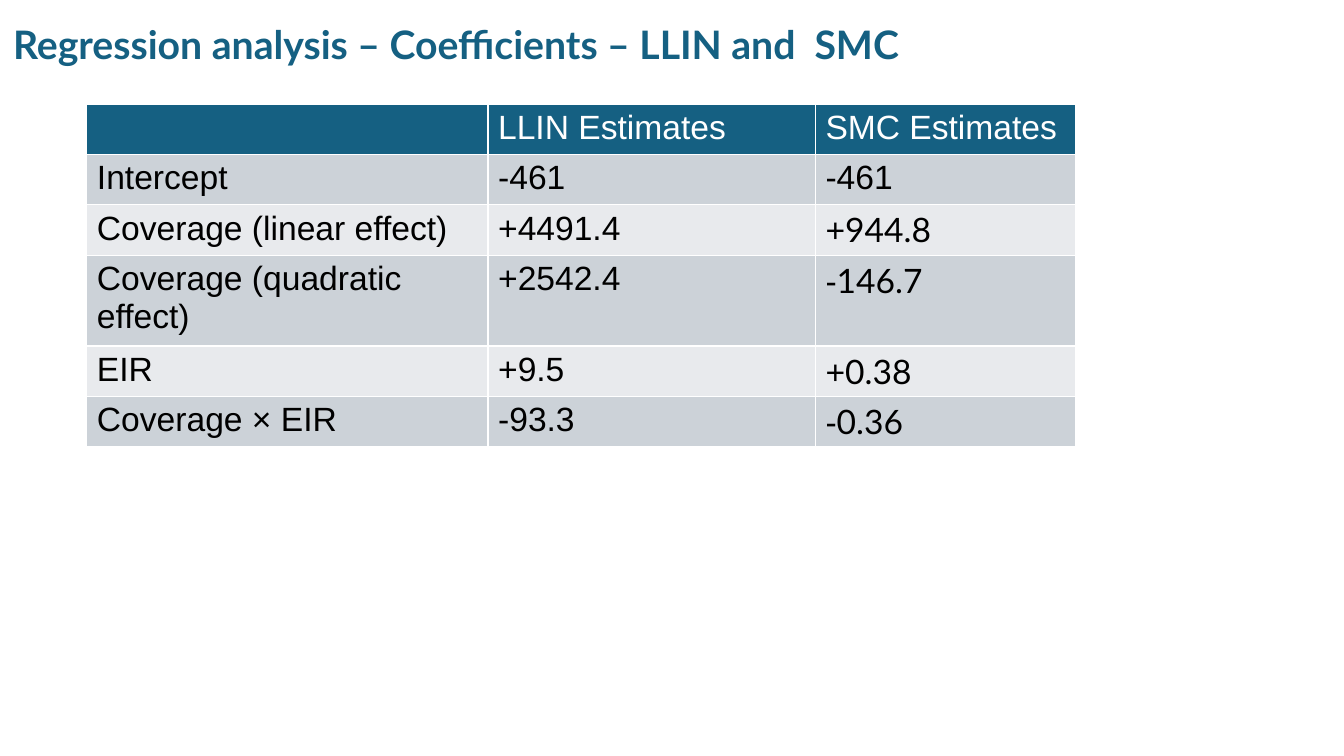
from pptx import Presentation
from pptx.dml.color import RGBColor
from pptx.enum import text
from pptx.util import Cm, Pt

TEAL, WHITE, BLACK = "156082", "FFFFFF", "000000"
BANDS = ["CCD2D8", "E8EAED"]
COLUMN_WIDTHS = [10.11, 8.25, 6.55]
ROW_HEIGHT = 1.04

# Each cell is a list of (words, font) spans.
COEFFICIENTS = [
    [[], [("LLIN Estimates", "Arial")], [("SMC Estimates", "Arial")]],
    [[("Intercept", "Arial")], [("-461", "Arial")], [("-461", "Arial")]],
    [[("Coverage (linear effect)", "Arial")], [("+4491.4", "Arial")],
     [("+", "Arial"), ("944.8", "Lato")]],
    [[("Coverage (quadratic effect)", "Arial")], [("+2542.4", "Arial")],
     [("-", "Arial"), ("146.7", "Lato")]],
    [[("EIR", "Arial")], [("+9.5", "Arial")],
     [("+", "Arial"), ("0.38", "Lato")]],
    [[("Coverage × EIR", "Arial")], [("-93.3", "Arial")],
     [("-", "Arial"), ("0.36", "Lato")]],
]


def color(value):
    return RGBColor.from_string(value)


def set_all(target, values):
    for name, value in values.items():
        setattr(target, name, value)


def add_span(para, words, fill, **font):
    span = para.add_run()
    span.text = words
    set_all(span.font, font)
    span.font.color.rgb = color(fill)


def add_title(page, left, top, width, height):
    box = page.shapes.add_textbox(Cm(left), Cm(top), Cm(width), Cm(height))
    set_all(box.text_frame, {
        "word_wrap": True,
        "vertical_anchor": text.MSO_ANCHOR.MIDDLE,
        "margin_left": 0,
    })
    para = box.text_frame.paragraphs[0]
    set_all(para, {"alignment": text.PP_ALIGN.JUSTIFY, "line_spacing": 0.9})
    add_span(para, "Regression analysis – Coefficients – LLIN and  SMC", TEAL,
             name="Lato", size=Pt(28), bold=True)


def add_coefficients(page, left, top):
    table = page.shapes.add_table(
        len(COEFFICIENTS), len(COLUMN_WIDTHS), Cm(left), Cm(top),
        Cm(sum(COLUMN_WIDTHS)), Cm(ROW_HEIGHT * len(COEFFICIENTS))).table
    for column, width in zip(table.columns, COLUMN_WIDTHS):
        column.width = Cm(width)
    for index, (row, contents) in enumerate(zip(table.rows, COEFFICIENTS)):
        row.height = Cm(ROW_HEIGHT)
        is_header = index == 0
        for cell, spans in zip(row.cells, contents):
            cell.fill.solid()
            cell.fill.fore_color.rgb = color(
                TEAL if is_header else BANDS[(index - 1) % 2])
            para = cell.text_frame.paragraphs[0]
            para.font.size = Pt(24)
            for words, font_name in spans:
                add_span(para, words, WHITE if is_header else BLACK,
                         name=font_name, size=Pt(24), bold=False)


def main():
    deck = Presentation()
    set_all(deck, {"slide_width": Cm(33.87), "slide_height": Cm(19.05)})
    page = deck.slides.add_slide(deck.slide_layouts[6])
    add_title(page, 0.33, 0.15, 29.95, 2.06)
    add_coefficients(page, 2.19, 2.62)
    deck.save("out.pptx")


if __name__ == "__main__":
    main()
